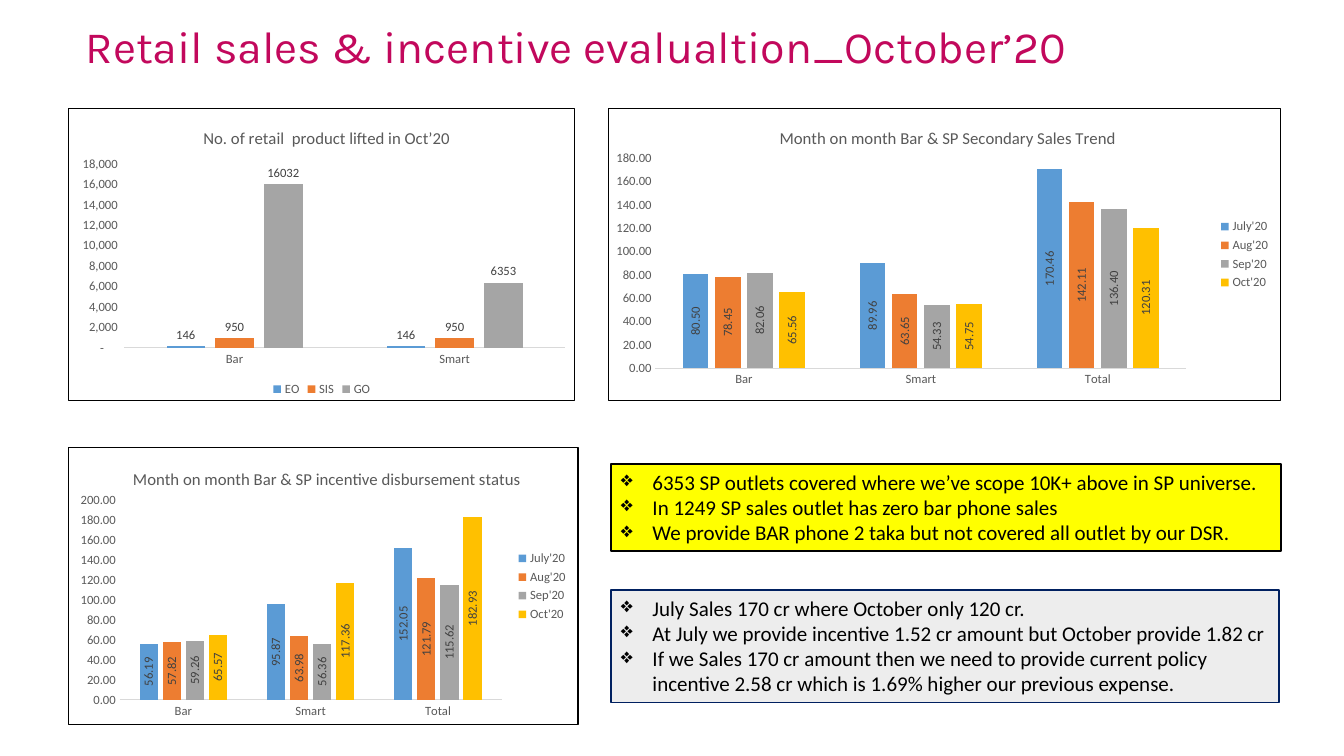
from dataclasses import dataclass

from lxml import etree
from pptx import Presentation, oxml, util as u
from pptx.chart import data as cd
from pptx.dml import color
from pptx.enum import chart as ce, shapes, text
from pptx.oxml import ns

SCALE = 9525


@dataclass(frozen=True)
class Theme:
    body: str = "Calibri"
    heading: str = "Karla"
    title: str = "C2085C"
    ink: str = "000000"
    muted: str = "595959"
    label: str = "404040"
    axis: str = "D9D9D9"
    paper: str = "FFFFFF"
    yellow: str = "FFFF00"
    grey: str = "EDEDED"
    navy: str = "002060"
    series: tuple[str, ...] = ("5B9BD5", "ED7D31", "A5A5A5", "FFC000")
    title_size: int = 32
    note_size: int = 15
    chart_title_size: int = 12
    chart_size: int = 9


@dataclass(frozen=True)
class Box:
    x: int
    y: int
    w: int
    h: int

    def emu(self) -> tuple[int, ...]:
        return tuple(v * SCALE for v in (self.x, self.y, self.w, self.h))


@dataclass(frozen=True)
class SalesChart:
    title: str
    box: Box
    title_at: tuple[float, ...]
    plot_at: tuple[float, ...]
    series: dict[str, tuple[float, ...]]
    top: int
    step: int
    axis_format: str = "0.00"
    label_format: str = "0.00"
    upright: bool = True
    legend: ce.XL_LEGEND_POSITION = ce.XL_LEGEND_POSITION.RIGHT


@dataclass(frozen=True)
class Note:
    box: Box
    fill: str
    line: str
    lines: tuple[str, ...]


T = Theme()
CATEGORIES = ("Bar", "Smart", "Total")
MONTHS = ("July'20", "Aug'20", "Sep'20", "Oct'20")

CHARTS = (
    SalesChart(
        "Month on month Bar & SP Secondary Sales Trend",
        Box(579, 103, 641, 279), (0.25, 0.05), (0.07, 0.17, 0.79, 0.72),
        dict(zip(MONTHS, ((80.5, 89.96, 170.46), (78.45, 63.65, 142.11),
                          (82.06, 54.33, 136.4), (65.56, 54.75, 120.31)))),
        180, 20),
    SalesChart(
        "No. of retail  product lifted in Oct’20",
        Box(65, 103, 483, 279), (0.26, 0.05), (0.11, 0.19, 0.87, 0.63),
        {"EO": (146, 146), "SIS": (950, 950), "GO": (16032, 6353)},
        18000, 2000,
        axis_format='_(* #,##0_);_(* (#,##0);_(* "-"??_);_(@_)',
        label_format="General", upright=False,
        legend=ce.XL_LEGEND_POSITION.BOTTOM),
    SalesChart(
        "Month on month Bar & SP incentive disbursement status",
        Box(65, 426, 486, 265), (0.12, 0.06), (0.1, 0.19, 0.75, 0.72),
        dict(zip(MONTHS, ((56.19, 95.87, 152.05), (57.82, 63.98, 121.79),
                          (59.26, 56.36, 115.62), (65.57, 117.36, 182.93)))),
        200, 20),
)

NOTES = (
    Note(Box(582, 442, 638, 83), T.yellow, T.ink, (
        "6353 SP outlets covered where we’ve scope 10K+ above in SP universe.",
        "In 1249 SP sales outlet has zero bar phone sales",
        "We provide BAR phone 2 taka but not covered all outlet by our DSR.")),
    Note(Box(582, 562, 636, 107), T.grey, T.navy, (
        "July Sales 170 cr where October only 120 cr.",
        "At July we provide incentive 1.52 cr amount but October provide 1.82 cr",
        "If we Sales 170 cr amount then we need to provide current policy "
        "incentive 2.58 cr which is 1.69% higher our previous expense.")),
)


def rgb(value: str) -> color.RGBColor:
    return color.RGBColor.from_string(value)


def style(font, size: int, ink: str, name: str = T.body) -> None:
    font.size, font.name, font.bold = u.Pt(size), name, False
    font.color.rgb = rgb(ink)


def place(element, values: tuple[float, ...], inner: bool = False) -> None:
    layout = element.find(ns.qn("c:layout"))
    if layout is None:
        layout = etree.Element(ns.qn("c:layout"))
        element.insert(0, layout)
    manual = etree.SubElement(layout, ns.qn("c:manualLayout"))
    settings = [("layoutTarget", "inner")] if inner else []
    settings += [("xMode", "edge"), ("yMode", "edge")]
    settings += list(zip("xywh", map(str, values)))
    for tag, value in settings:
        etree.SubElement(manual, ns.qn(f"c:{tag}")).set("val", value)


def frame_chart(space) -> None:
    space.find(ns.qn("c:chart")).addnext(oxml.parse_xml(
        f'<c:spPr {ns.nsdecls("c", "a")}>'
        f'<a:solidFill><a:srgbClr val="{T.paper}"/></a:solidFill>'
        f'<a:ln w="9525"><a:solidFill><a:srgbClr val="{T.ink}"/></a:solidFill></a:ln>'
        '</c:spPr>'))


def draw_axes(chart, spec: SalesChart) -> None:
    for axis in (chart.category_axis, chart.value_axis):
        axis.has_major_gridlines = False
        axis.major_tick_mark = axis.minor_tick_mark = ce.XL_TICK_MARK.NONE
        style(axis.tick_labels.font, T.chart_size, T.muted)
    line = chart.category_axis.format.line
    line.color.rgb, line.width = rgb(T.axis), u.Pt(0.75)
    values = chart.value_axis
    values.format.line.fill.background()
    values.minimum_scale, values.maximum_scale = 0, spec.top
    values.major_unit = spec.step
    values.tick_labels.number_format = spec.axis_format
    values.tick_labels.number_format_is_linked = False


def draw_series(chart, spec: SalesChart) -> None:
    plot = chart.plots[0]
    plot.gap_width, plot.overlap, plot.vary_by_categories = 219, -27, False
    position = ce.XL_LABEL_POSITION
    for series, fill in zip(plot.series, T.series):
        series.format.fill.solid()
        series.format.fill.fore_color.rgb = rgb(fill)
        labels = series.data_labels
        labels.show_value = True
        labels.number_format = spec.label_format
        labels.number_format_is_linked = False
        labels.position = position.CENTER if spec.upright else position.OUTSIDE_END
        style(labels.font, T.chart_size, T.label)
        if spec.upright:
            body = labels._element.find(f'.//{ns.qn("a:bodyPr")}')
            body.set("rot", "-5400000")
            body.set("vert", "horz")


def draw_chart(s, spec: SalesChart) -> None:
    data = cd.CategoryChartData()
    count = len(next(iter(spec.series.values())))
    data.categories = CATEGORIES[:count]
    for name, values in spec.series.items():
        data.add_series(name, values)
    chart = s.shapes.add_chart(
        ce.XL_CHART_TYPE.COLUMN_CLUSTERED, *spec.box.emu(), data).chart
    style(chart.font, 10, T.ink)
    frame_chart(chart._chartSpace)
    chart.has_title = True
    tf = chart.chart_title.text_frame
    tf.text = spec.title
    style(tf.paragraphs[0].runs[0].font, T.chart_title_size, T.muted)
    place(chart.chart_title._element, spec.title_at)
    place(chart._chartSpace.find(f'.//{ns.qn("c:plotArea")}'), spec.plot_at, True)
    chart.has_legend = True
    chart.legend.position = spec.legend
    chart.legend.include_in_layout = False
    style(chart.legend.font, T.chart_size, T.muted)
    draw_axes(chart, spec)
    draw_series(chart, spec)


def draw_note(s, note: Note) -> None:
    sp = s.shapes.add_shape(shapes.MSO_SHAPE.RECTANGLE, *note.box.emu())
    sp.shadow.inherit = False
    sp.fill.solid()
    sp.fill.fore_color.rgb = rgb(note.fill)
    sp.line.color.rgb, sp.line.width = rgb(note.line), u.Pt(1)
    tf = sp.text_frame
    tf.text = "\n".join(note.lines)
    tf.word_wrap = True
    tf.auto_size = text.MSO_AUTO_SIZE.SHAPE_TO_FIT_TEXT
    tf.vertical_anchor = text.MSO_ANCHOR.TOP
    for p in tf.paragraphs:
        p.alignment = text.PP_ALIGN.LEFT
        props = p._p.get_or_add_pPr()
        props.set("marL", str(30 * SCALE))
        props.set("indent", str(-30 * SCALE))
        etree.SubElement(props, ns.qn("a:buChar")).set("char", "❖")
        style(p.runs[0].font, T.note_size, T.ink)


def draw_title(s) -> None:
    sp = s.shapes.title
    sp.left, sp.top, sp.width, sp.height = Box(72, 12, 1104, 69).emu()
    tf = sp.text_frame
    tf.text = "Retail sales & incentive evalualtion_October’20"
    tf.vertical_anchor = text.MSO_ANCHOR.MIDDLE
    p = tf.paragraphs[0]
    p.alignment, p.line_spacing = text.PP_ALIGN.LEFT, 0.9
    style(p.runs[0].font, T.title_size, T.title, T.heading)


def main() -> None:
    prs = Presentation()
    prs.slide_width, prs.slide_height = 1280 * SCALE, 720 * SCALE
    s = prs.slides.add_slide(prs.slide_layouts[5])
    draw_title(s)
    for spec in CHARTS:
        draw_chart(s, spec)
    for note in NOTES:
        draw_note(s, note)
    prs.save("out.pptx")


if __name__ == "__main__":
    main()
